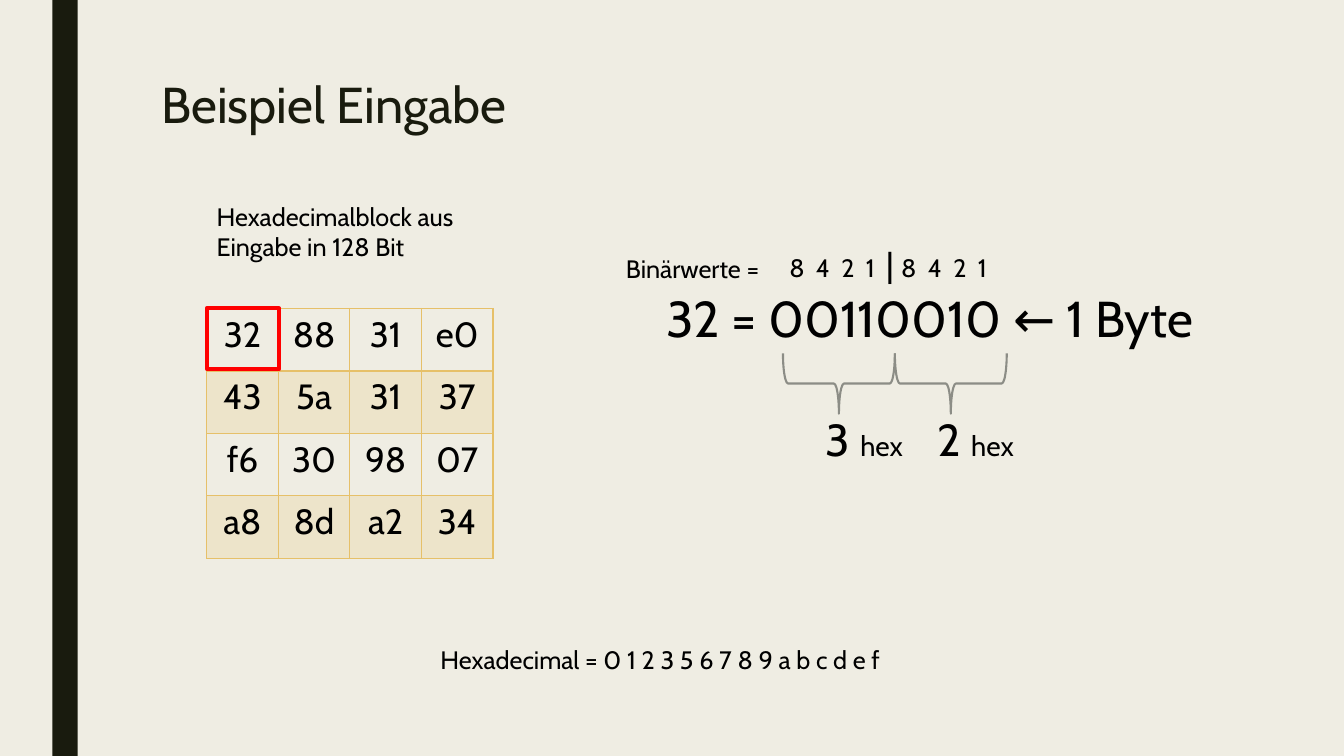
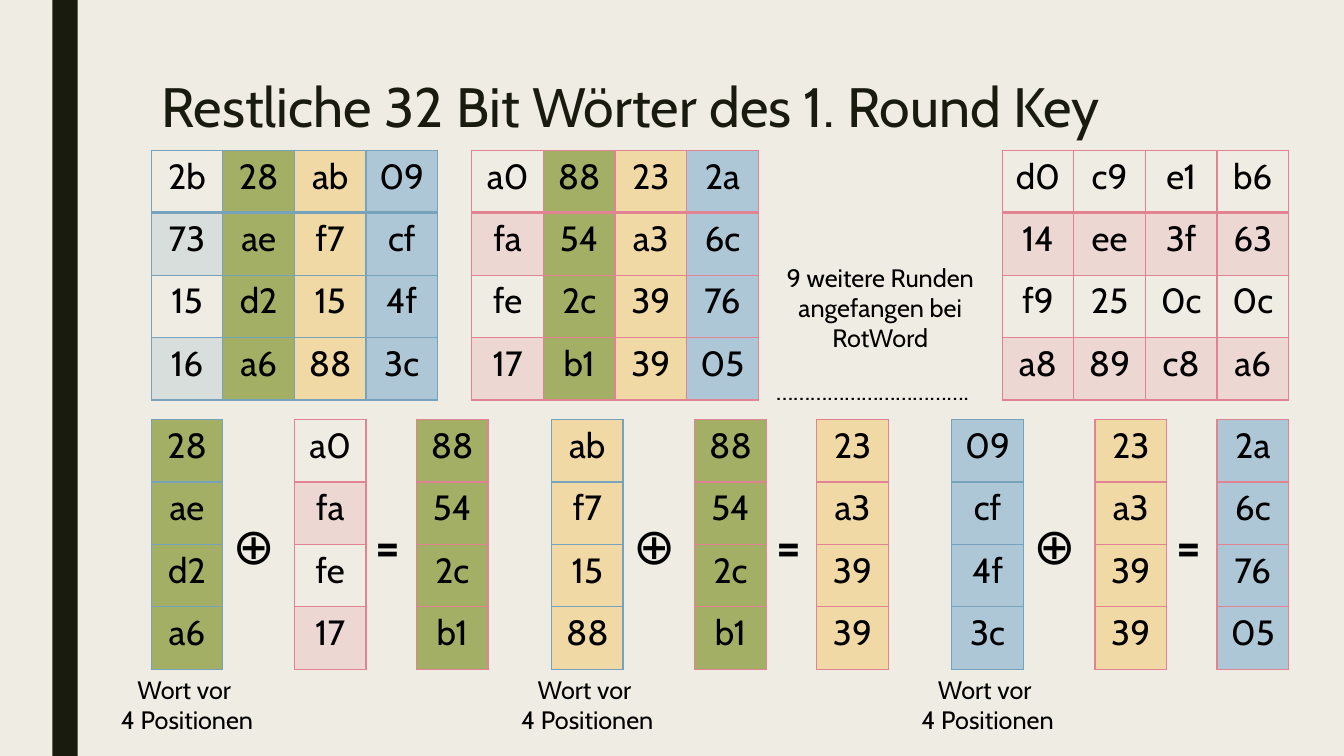
import pptx
import pptx.dml.color
import pptx.enum.shapes
import pptx.enum.text
import pptx.oxml
import pptx.oxml.ns
import pptx.util
from lxml import etree

Inches = pptx.util.Inches
Pt = pptx.util.Pt
rgb = pptx.dml.color.RGBColor.from_string
Shape = pptx.enum.shapes.MSO_SHAPE
Align = pptx.enum.text.PP_ALIGN
qn = pptx.oxml.ns.qn

FONT = "Cabin"
PAPER, INK, BLACK = "EFEDE3", "191B0E", "000000"
GOLD, STEEL, PINK = "E6C069", "77A2BB", "E28394"
GREEN, SAND, SKY = "A3AF65", "F0D9A5", "ADC7D6"
GRAY, RED = "8C8D86", "FF0000"
CELL_WIDTH, CELL_HEIGHT = 0.71, 0.62
PLAIN = (None, None, None, None)
WORD_FILLS = (None, GREEN, SAND, SKY)


def add_text(page, left, top, width, height, lines, size=18, align=Align.LEFT, wrap=False, bold=False):
    box = page.shapes.add_textbox(Inches(left), Inches(top), Inches(width), Inches(height))
    frame = box.text_frame
    frame.text = "\n".join(lines)
    frame.word_wrap = wrap
    frame.auto_size = pptx.enum.text.MSO_AUTO_SIZE.SHAPE_TO_FIT_TEXT
    for para in frame.paragraphs:
        para.alignment = align
        for span in para.runs:
            span.font.name = FONT
            span.font.size = Pt(size)
            span.font.bold = bold
            span.font.color.rgb = rgb(BLACK)
    return box


def add_block(page, left, top, rows, accent, fills):
    """Draw a table of bytes; a column without a fill gets tinted odd rows."""
    frame = page.shapes.add_table(
        len(rows), len(fills), Inches(left), Inches(top),
        Inches(CELL_WIDTH * len(fills)), Inches(CELL_HEIGHT * len(rows)))
    table = frame.table
    table.first_row = False
    table.horz_banding = False
    for column in table.columns:
        column.width = Inches(CELL_WIDTH)
    for r, values in enumerate(rows):
        table.rows[r].height = Inches(CELL_HEIGHT)
        for c, value in enumerate(values):
            cell = table.cell(r, c)
            cell.text = value
            para = cell.text_frame.paragraphs[0]
            para.alignment = Align.CENTER
            font = para.runs[0].font
            font.name = FONT
            font.size = Pt(25)
            font.color.rgb = rgb(BLACK)

            properties = cell._tc.get_or_add_tcPr()
            for side in "LRTB":
                weight = 2 if (r, side) in ((0, "B"), (1, "T")) else 1
                line = etree.SubElement(properties, qn("a:ln" + side), w=str(Pt(weight)))
                solid = etree.SubElement(line, qn("a:solidFill"))
                etree.SubElement(solid, qn("a:srgbClr"), val=accent)

            if fills[c] is None and r % 2 == 0:
                cell.fill.background()
                continue
            cell.fill.solid()
            cell.fill.fore_color.rgb = rgb(fills[c] or accent)
            if fills[c] is None:
                color = properties.find(qn("a:solidFill")).find(qn("a:srgbClr"))
                etree.SubElement(color, qn("a:alpha"), val="20000")


deck = pptx.Presentation()
deck.slide_width = Inches(13.33)
deck.slide_height = Inches(7.5)

# Shared look: background, title style and dark band
master = deck.slide_master
master.background.fill.solid()
master.background.fill.fore_color.rgb = rgb(PAPER)
layout = deck.slide_layouts.get_by_name("Title Only")

pages = []
for title_text, title_size, title_height in (
    ("Beispiel Eingabe", 36, 0.79),
    ("Restliche 32 Bit Wörter des 1. Round Key", 39.6, 0.58),
):
    page = deck.slides.add_slide(layout)
    title = page.shapes.title
    title.left, title.top = Inches(1.5), Inches(0.75)
    title.width, title.height = Inches(10.5), Inches(title_height)
    title.text_frame.text = title_text
    title.text_frame.vertical_anchor = pptx.enum.text.MSO_ANCHOR.TOP
    title.text_frame.auto_size = pptx.enum.text.MSO_AUTO_SIZE.NONE
    para = title.text_frame.paragraphs[0]
    para.alignment = Align.LEFT
    para.line_spacing = 0.89
    font = para.runs[0].font
    font.name = FONT
    font.size = Pt(title_size)
    font.color.rgb = rgb(INK)
    pages.append(page)
input_page, key_page = pages

band = input_page.shapes.add_shape(Shape.RECTANGLE, Inches(0.52), 0, Inches(0.25), deck.slide_height)
band.shadow.inherit = False
band.fill.solid()
band.fill.fore_color.rgb = rgb(INK)
band.line.fill.background()
band.element.nvSpPr.cNvPr.set("id", "20")
master.element.cSld.spTree.insert(2, band.element)

# Slide 1: input block and the bits of its first byte
input_rows = ["32 88 31 e0".split(), "43 5a 31 37".split(), "f6 30 98 07".split(), "a8 8d a2 34".split()]
add_block(input_page, 2.05, 3.06, input_rows, GOLD, PLAIN)
add_text(input_page, 2.05, 1.95, 2.65, 0.71, ["Hexadecimalblock aus", "Eingabe in 128 Bit"])
add_text(input_page, 6.51, 2.8, 5.73, 0.71, ["32 = 00110010 ← 1 Byte"], 36)
add_text(input_page, 4.27, 6.34, 4.78, 0.4, ["Hexadecimal = 0 1 2 3 5 6 7 8 9 a b c d e f"])
add_text(input_page, 6.11, 2.46, 1.57, 0.4, ["Binärwerte ="])
add_text(input_page, 8.69, 2.37, 0.37, 0.5, ["|"], 24)

for i, digit in enumerate("32"):
    offset = 1.11 * i
    add_text(input_page, 7.73 + offset, 2.45, 1.17, 0.4, ["8  4  2  1"])
    brace = input_page.shapes.add_shape(
        Shape.RIGHT_BRACE, Inches(8.02 + offset), Inches(3.25), Inches(0.6), Inches(1.11))
    brace.rotation = 90
    brace.shadow.inherit = False
    brace.fill.background()
    brace.line.color.rgb = rgb(GRAY)
    brace.line.width = Pt(1.5)
    digit_box = add_text(input_page, 8.09 + offset, 4.04, 0.99, 0.64, [digit + " "], 32)
    span = digit_box.text_frame.paragraphs[0].add_run()
    span.text = "hex"
    span.font.name = FONT
    span.font.size = Pt(20)
    span.font.color.rgb = rgb(BLACK)

marker = input_page.shapes.add_shape(Shape.RECTANGLE, Inches(2.05), Inches(3.06), Inches(0.72), Inches(0.6))
marker.shadow.inherit = False
marker.fill.background()
marker.line.color.rgb = rgb(RED)
marker.line.width = Pt(2.75)

# Slide 2: cipher key, first round key and last round key
cipher_key = ["2b 28 ab 09".split(), "73 ae f7 cf".split(), "15 d2 15 4f".split(), "16 a6 88 3c".split()]
round_key = ["a0 88 23 2a".split(), "fa 54 a3 6c".split(), "fe 2c 39 76".split(), "17 b1 39 05".split()]
last_key = ["d0 c9 e1 b6".split(), "14 ee 3f 63".split(), "f9 25 0c 0c".split(), "a8 89 c8 a6".split()]
add_block(key_page, 1.5, 1.49, cipher_key, STEEL, WORD_FILLS)
add_block(key_page, 4.68, 1.49, round_key, PINK, WORD_FILLS)
add_block(key_page, 9.94, 1.49, last_key, PINK, PLAIN)
add_text(key_page, 7.6, 3.67, 2.33, 0.4, ["…………………………….",])
add_text(key_page, 7.69, 2.55, 2.08, 1.01, ["9 weitere Runden", "angefangen bei RotWord"],
         align=Align.CENTER, wrap=True)

# Each new word is the word four positions back XOR the word just before it
for word in (1, 2, 3):
    left = 1.5 + 3.97 * (word - 1)
    for offset, key, column, accent in (
        (0, cipher_key, word, STEEL),
        (1.42, round_key, word - 1, PINK),
        (2.63, round_key, word, PINK),
    ):
        word_rows = [[row[column]] for row in key]
        add_block(key_page, left + offset, 4.16, word_rows, accent, (WORD_FILLS[column],))
    add_text(key_page, left + 0.71, 5.05, 0.71, 0.71, ["⊕"], 36, wrap=True)
    add_text(key_page, left + 2.13, 5.05, 0.5, 0.71, ["="], 36, bold=True)
    add_text(key_page, left - 0.41, 6.64, 1.53, 0.71, ["Wort vor ", "4 Positionen"], align=Align.CENTER)

deck.save("out.pptx")
